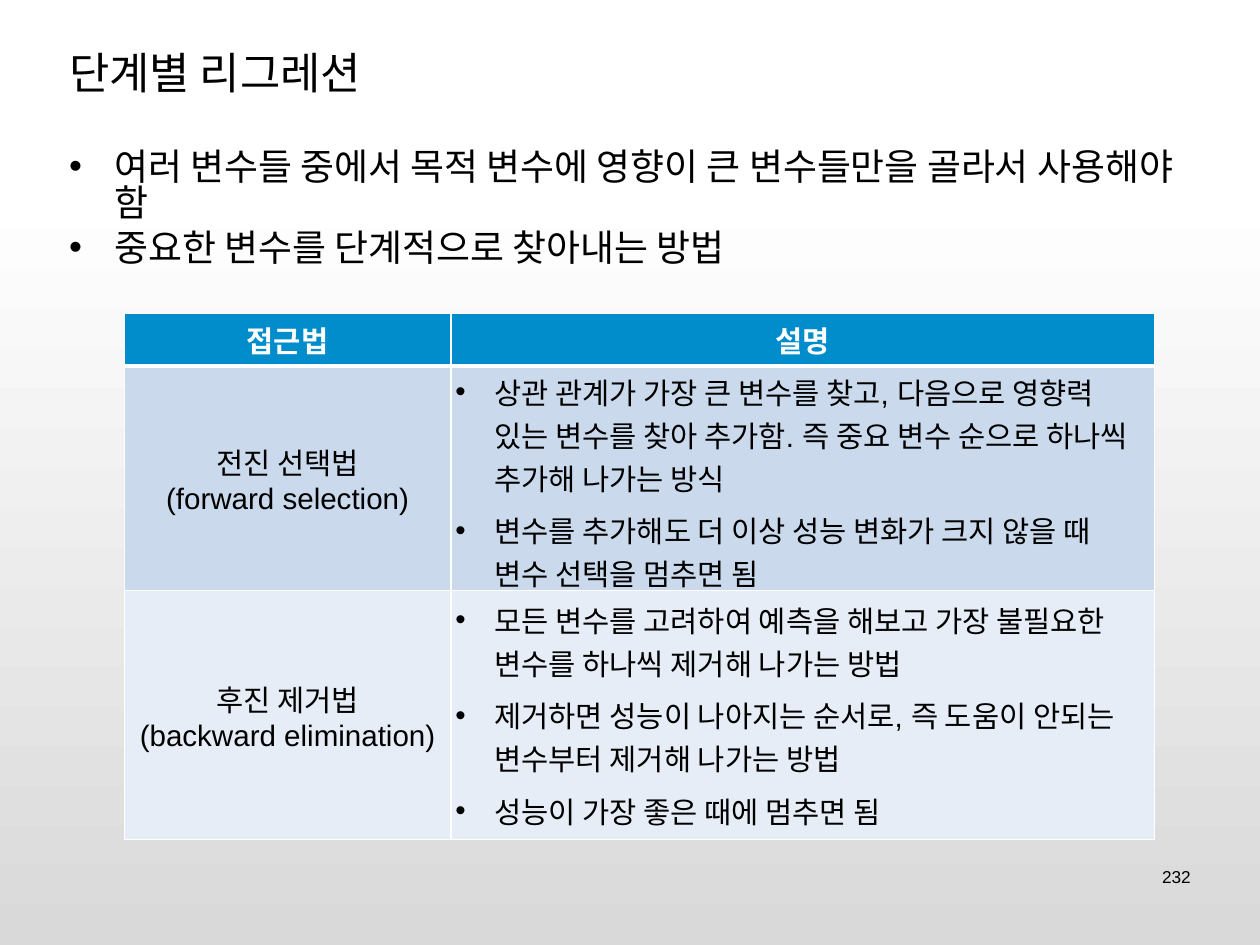
from dataclasses import dataclass

from lxml import etree
from pptx import Presentation
from pptx.dml.color import RGBColor
from pptx.enum.text import MSO_ANCHOR, MSO_AUTO_SIZE, PP_ALIGN
from pptx.oxml.ns import qn
from pptx.util import Emu, Inches, Pt

LEFT, CENTER, RIGHT = PP_ALIGN.LEFT, PP_ALIGN.CENTER, PP_ALIGN.RIGHT
TOP, MIDDLE = MSO_ANCHOR.TOP, MSO_ANCHOR.MIDDLE
FIT_SHAPE = MSO_AUTO_SIZE.SHAPE_TO_FIT_TEXT

BLACK = RGBColor(0x00, 0x00, 0x00)
WHITE = RGBColor(0xFF, 0xFF, 0xFF)
GREY = RGBColor(0xD9, 0xD9, 0xD9)
HEADER_BLUE = RGBColor(0x01, 0x8C, 0xCB)
FORWARD_BLUE = RGBColor(0xCA, 0xDA, 0xEC)
BACKWARD_BLUE = RGBColor(0xE6, 0xED, 0xF6)

LATIN, KOREAN = "Arial", "Noto Sans CJK KR"
GRID = Inches(0.1)  # one column or row of the layout grid
THIN, THICK = 1, 4  # cell border widths in points


def cells(count: float) -> Emu:
    """Length of a number of grid columns or rows."""
    return Emu(round(count * GRID))


@dataclass(frozen=True)
class TextStyle:
    size: float
    latin: str = LATIN
    color: RGBColor = BLACK
    bold: bool = False
    align: PP_ALIGN = LEFT
    hang: float = 0  # bullet indent in grid columns, 0 for no bullet
    before: float = 0
    line: float = 1.0


@dataclass(frozen=True)
class TextBlock:
    column: float
    row: float
    columns: float
    rows: float
    lines: tuple[str, ...]
    style: TextStyle
    anchor: MSO_ANCHOR = TOP
    wrap: bool = True


@dataclass(frozen=True)
class ApproachRow:
    height: float
    approach: tuple[str, ...]
    description: tuple[str, ...]
    fill: RGBColor
    approach_style: TextStyle
    description_style: TextStyle
    top: int = THIN
    bottom: int = THIN


TITLE = TextStyle(35.6, latin=KOREAN)
BODY = TextStyle(30, hang=5.1, before=7, line=0.82)
HEADER = TextStyle(24, color=WHITE, bold=True, align=CENTER)
APPROACH = TextStyle(24, align=CENTER)
DESCRIPTION = TextStyle(24, hang=4.4, before=8)
PAGE = TextStyle(14, align=RIGHT)

BLOCKS = (
    TextBlock(7.1, 4.3, 128, 7.6, ("단계별 리그레션",), TITLE, MIDDLE),
    TextBlock(7.1, 16.4, 128, 78.9, (
        "여러 변수들 중에서 목적 변수에 영향이 큰 변수들만을 골라서 사용해야 함",
        "중요한 변수를 단계적으로 찾아내는 방법",
    ), BODY),
    TextBlock(130.3, 97.1, 4.8, 3.6, ("232",), PAGE, wrap=False),
)

TABLE_LEFT, TABLE_TOP = 14, 35.4
TABLE_COLUMNS = (36.9, 79.4)
TABLE_ROWS = (
    ApproachRow(5.9, ("접근법",), ("설명",), HEADER_BLUE, HEADER, HEADER, bottom=THICK),
    ApproachRow(25.4, ("전진 선택법", "(forward selection)"), (
        "상관 관계가 가장 큰 변수를 찾고, 다음으로 영향력 있는 변수를 찾아 추가함. "
        "즉 중요 변수 순으로 하나씩 추가해 나가는 방식",
        "변수를 추가해도 더 이상 성능 변화가 크지 않을 때 변수 선택을 멈추면 됨",
    ), FORWARD_BLUE, APPROACH, DESCRIPTION, top=THICK),
    ApproachRow(28.1, ("후진 제거법", "(backward elimination)"), (
        "모든 변수를 고려하여 예측을 해보고 가장 불필요한 변수를 하나씩 제거해 나가는 방법",
        "제거하면 성능이 나아지는 순서로, 즉 도움이 안되는 변수부터 제거해 나가는 방법",
        "성능이 가장 좋은 때에 멈추면 됨",
    ), BACKWARD_BLUE, APPROACH, DESCRIPTION),
)


def add_bullet(paragraph, hang: float) -> None:
    properties = paragraph._p.get_or_add_pPr()
    properties.set("marL", str(cells(hang)))
    properties.set("indent", str(-cells(hang)))
    etree.SubElement(properties, qn("a:buFont")).set("typeface", LATIN)
    etree.SubElement(properties, qn("a:buChar")).set("char", "•")


def write_lines(frame, lines: tuple[str, ...], style: TextStyle) -> None:
    for index, line in enumerate(lines):
        paragraph = frame.add_paragraph() if index else frame.paragraphs[0]
        if style.hang:
            add_bullet(paragraph, style.hang)
        paragraph.alignment = style.align
        paragraph.line_spacing = style.line
        paragraph.space_before = Pt(style.before if index else 0)
        run = paragraph.add_run()
        run.text = line
        run.font.size = Pt(style.size)
        run.font.bold = style.bold
        run.font.color.rgb = style.color
        run.font.name = style.latin
        etree.SubElement(run._r.get_or_add_rPr(), qn("a:ea")).set("typeface", KOREAN)


def set_margins(holder, margin: Emu) -> None:
    holder.margin_left = holder.margin_right = margin
    holder.margin_top = holder.margin_bottom = margin


def add_text_block(slide, block: TextBlock) -> None:
    box = slide.shapes.add_textbox(
        cells(block.column), cells(block.row), cells(block.columns), cells(block.rows))
    frame = box.text_frame
    frame.word_wrap = block.wrap
    if not block.wrap:
        frame.auto_size = FIT_SHAPE
    frame.vertical_anchor = block.anchor
    set_margins(frame, cells(0.7))
    write_lines(frame, block.lines, block.style)


def add_borders(cell, top: int, bottom: int) -> None:
    properties = cell._tc.get_or_add_tcPr()
    for side, width in (("L", THIN), ("R", THIN), ("T", top), ("B", bottom)):
        border = etree.SubElement(properties, qn(f"a:ln{side}"), w=str(Pt(width)))
        fill = etree.SubElement(border, qn("a:solidFill"))
        etree.SubElement(fill, qn("a:srgbClr"), val=str(WHITE))


def add_approach_table(slide) -> None:
    table = slide.shapes.add_table(
        len(TABLE_ROWS), len(TABLE_COLUMNS), cells(TABLE_LEFT), cells(TABLE_TOP),
        cells(sum(TABLE_COLUMNS)), cells(sum(row.height for row in TABLE_ROWS))).table
    table.horz_banding = False
    for column, width in zip(table.columns, TABLE_COLUMNS):
        column.width = cells(width)
    for table_row, row in zip(table.rows, TABLE_ROWS):
        table_row.height = cells(row.height)
        contents = ((row.approach, row.approach_style),
                    (row.description, row.description_style))
        for cell, (lines, style) in zip(table_row.cells, contents):
            add_borders(cell, row.top, row.bottom)
            cell.fill.solid()
            cell.fill.fore_color.rgb = row.fill
            cell.vertical_anchor = MIDDLE
            set_margins(cell, cells(0.5))
            write_lines(cell.text_frame, lines, style)


def paint_background(slide) -> None:
    fill = slide.background.fill
    fill.gradient()
    fill.gradient_angle = 270
    for stop, (position, color) in zip(fill.gradient_stops, ((0.2, WHITE), (1, GREY))):
        stop.position = position
        stop.color.rgb = color


def main() -> None:
    deck = Presentation()
    deck.slide_width, deck.slide_height = cells(142.2), cells(106.7)
    slide = deck.slides.add_slide(deck.slide_layouts[6])
    paint_background(slide)

    # Title, key points and page number
    for block in BLOCKS:
        add_text_block(slide, block)

    # Comparison of the two approaches
    add_approach_table(slide)
    deck.save("out.pptx")


if __name__ == "__main__":
    main()
